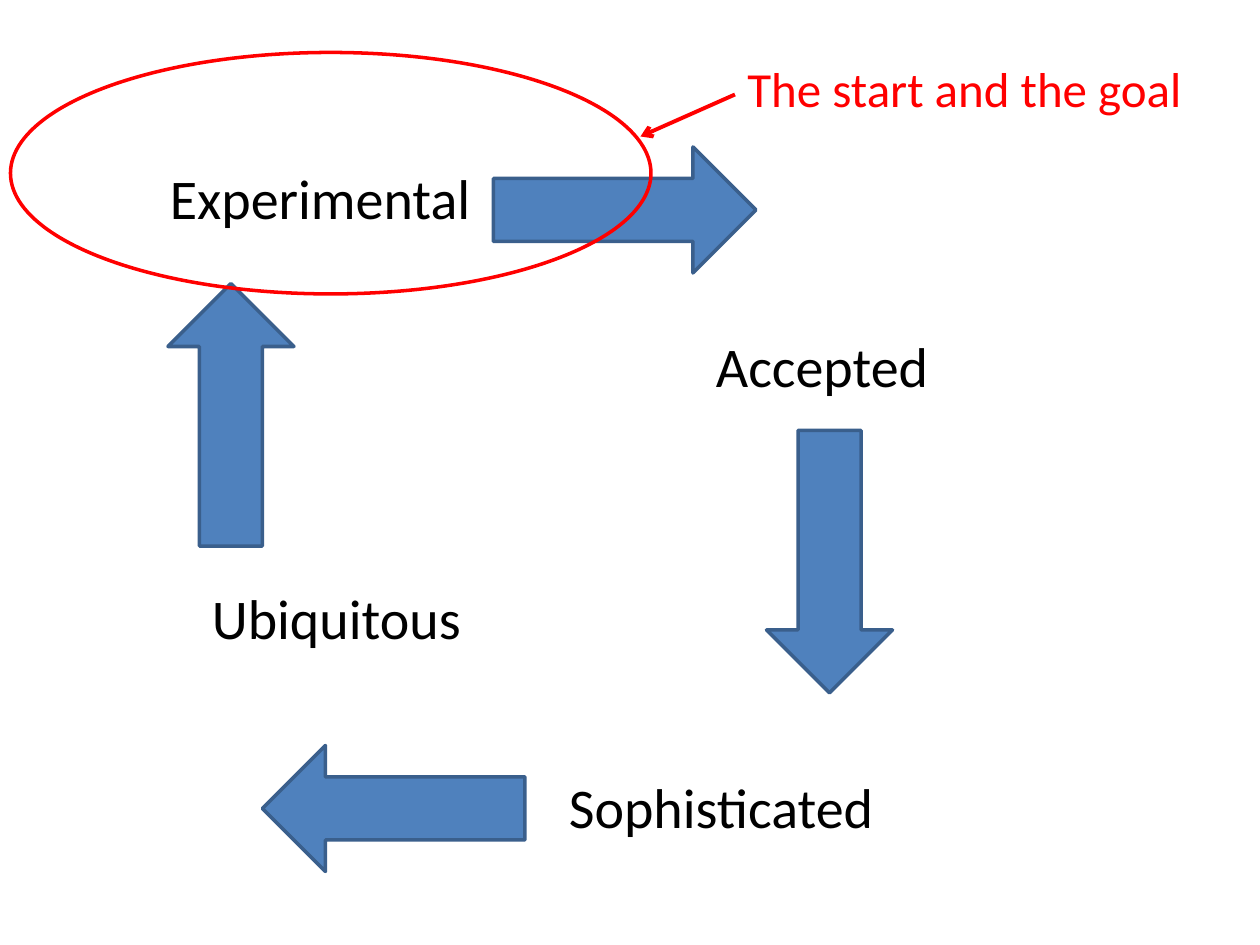
from dataclasses import dataclass

from lxml.etree import SubElement
from pptx import Presentation
from pptx.dml.color import RGBColor
from pptx.enum.shapes import MSO_CONNECTOR, MSO_SHAPE
from pptx.enum.text import MSO_AUTO_SIZE
from pptx.oxml.ns import qn
from pptx.util import Pt


@dataclass(frozen=True)
class Theme:
    """Colours, type and line sizes of the slide."""
    font: str = "Calibri"
    text: str = "000000"
    accent: str = "FF0000"
    arrow_fill: str = "4F81BD"
    arrow_line: str = "3A5F8C"
    stage_size: int = 32
    callout_size: int = 28
    outline: float = 2
    pointer: float = 2.25


THEME = Theme()
ARROW_WIDTH, ARROW_HEIGHT = 150, 72

STAGES = [
    ("Experimental", (90, 90, 188, 46), (282, 84)),
    ("Accepted", (402, 186, 137, 46), (399, 285)),
    ("Sophisticated", (318, 438, 191, 46), (150, 426)),
    ("Ubiquitous", (114, 330, 158, 46), (57, 201)),
]


def points(*lengths):
    """Turn plain numbers into point lengths."""
    return [Pt(length) for length in lengths]


def set_line(line, color, width):
    """Give a line its colour and width."""
    line.color.rgb = RGBColor.from_string(color)
    line.width = Pt(width)


def add_text(slide, text, box, *, size, color=THEME.text):
    """Add a one-line label that fits its text."""
    frame = slide.shapes.add_textbox(*points(*box)).text_frame
    frame.word_wrap = False
    frame.auto_size = MSO_AUTO_SIZE.SHAPE_TO_FIT_TEXT
    run = frame.paragraphs[0].add_run()
    run.text = text
    run.font.name = THEME.font
    run.font.size = Pt(size)
    run.font.color.rgb = RGBColor.from_string(color)


def add_outlined_shape(slide, kind, box, *, line, fill=None, rotation=0):
    """Add a preset shape, unfilled unless a fill is given."""
    shape = slide.shapes.add_shape(kind, *points(*box))
    shape.shadow.inherit = False
    shape.rotation = rotation
    if fill:
        shape.fill.solid()
        shape.fill.fore_color.rgb = RGBColor.from_string(fill)
    else:
        shape.fill.background()
    set_line(shape.line, line, THEME.outline)


def add_pointer(slide, start, end):
    """Add a straight line with an open arrowhead at its end."""
    connector = slide.shapes.add_connector(
        MSO_CONNECTOR.STRAIGHT, *points(*start, *end))
    set_line(connector.line, THEME.accent, THEME.pointer)
    SubElement(connector.line._get_or_add_ln(), qn("a:tailEnd"), type="arrow")
    SubElement(connector._element.spPr, qn("a:effectLst"))


def main():
    """Build the cycle of four stages and save it."""
    presentation = Presentation()
    presentation.slide_width, presentation.slide_height = points(720, 540)
    slide = presentation.slides.add_slide(presentation.slide_layouts[6])

    for index, (_, _, position) in enumerate(STAGES):
        add_outlined_shape(
            slide, MSO_SHAPE.RIGHT_ARROW, (*position, ARROW_WIDTH, ARROW_HEIGHT),
            line=THEME.arrow_line, fill=THEME.arrow_fill, rotation=90 * index)
    for name, box, _ in STAGES:
        add_text(slide, name, box, size=THEME.stage_size)

    add_outlined_shape(slide, MSO_SHAPE.OVAL, (6, 30, 366, 138), line=THEME.accent)
    add_text(slide, "The start and the goal", (420, 30, 265, 41),
             size=THEME.callout_size, color=THEME.accent)
    add_pointer(slide, (420, 54), (366, 78))

    presentation.save("out.pptx")


if __name__ == "__main__":
    main()
